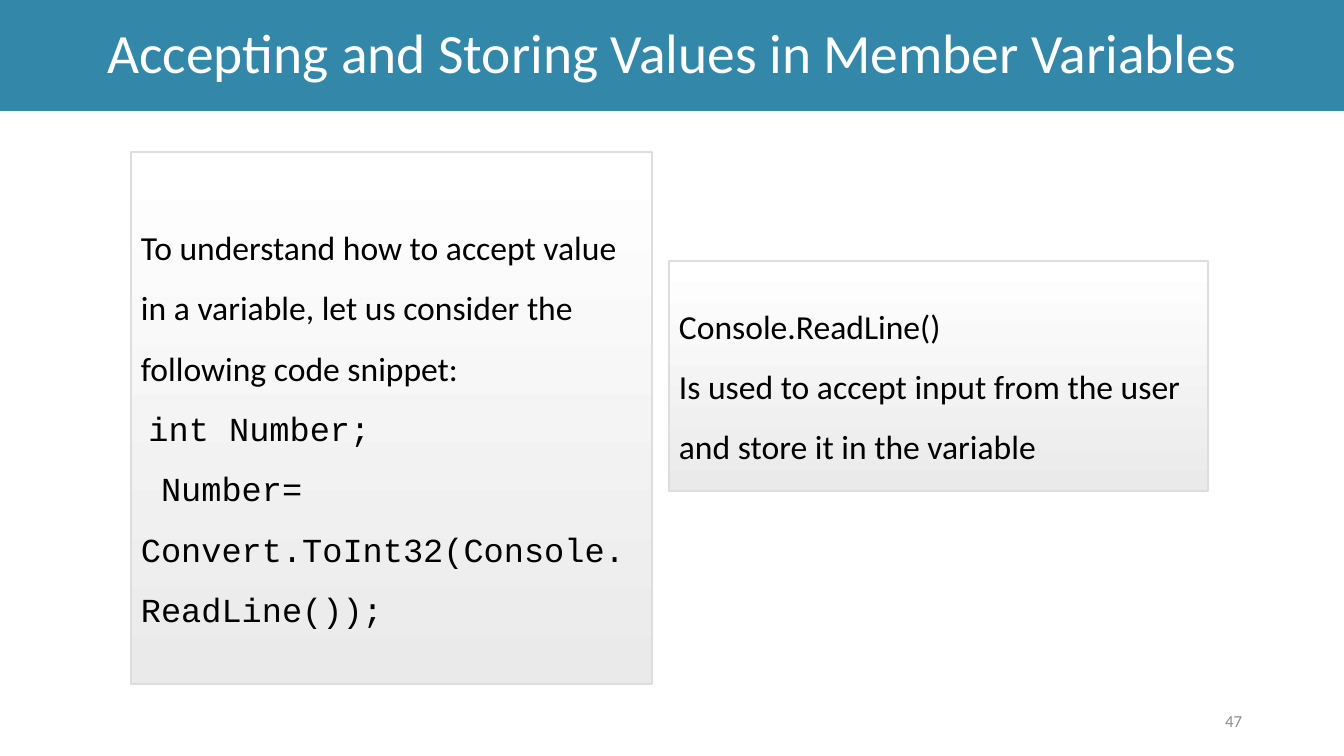
from dataclasses import dataclass

from pptx import Presentation
from pptx.dml.color import RGBColor
from pptx.enum.shapes import MSO_SHAPE
from pptx.enum.text import MSO_ANCHOR, PP_ALIGN
from pptx.util import Pt

RECTANGLE = MSO_SHAPE.RECTANGLE
MIDDLE = MSO_ANCHOR.MIDDLE
LEFT, CENTER, RIGHT = PP_ALIGN.LEFT, PP_ALIGN.CENTER, PP_ALIGN.RIGHT
EMU_PER_PX = 914400 / 100.8
SLIDE_WIDTH, SLIDE_HEIGHT = 1344, 756


@dataclass(frozen=True)
class Theme:
    """Colours, fonts and type sizes of the slide."""

    banner: RGBColor = RGBColor(0x33, 0x88, 0xA9)
    white: RGBColor = RGBColor(0xFF, 0xFF, 0xFF)
    black: RGBColor = RGBColor(0x00, 0x00, 0x00)
    panel_end: RGBColor = RGBColor(0xEA, 0xEA, 0xEA)
    panel_line: RGBColor = RGBColor(0xDD, 0xDD, 0xDD)
    number: RGBColor = RGBColor(0x8C, 0x8C, 0x8C)
    font: str = "Calibri"
    code_font: str = "Courier New"
    title_size: float = 39.6
    body_size: float = 24
    number_size: float = 12


THEME = Theme()


def px(length):
    """Turn a length in px into EMU."""
    return round(length * EMU_PER_PX)


def add_rectangle(slide, box):
    """Add a rectangle without shadow in the given box."""
    shape = slide.shapes.add_shape(RECTANGLE, *map(px, box))
    shape.shadow.inherit = False
    return shape


def write(shape, paragraphs, size, color, alignment=LEFT, spacing=1.0):
    """Fill a shape with paragraphs, each a list of (text, font) runs."""
    frame = shape.text_frame
    frame.word_wrap = True
    frame.vertical_anchor = MIDDLE
    for index, runs in enumerate(paragraphs):
        paragraph = frame.add_paragraph() if index else frame.paragraphs[0]
        paragraph.alignment = alignment
        paragraph.line_spacing = spacing
        for text, font in runs:
            run = paragraph.add_run()
            run.text = text
            run.font.name = font
            run.font.size = Pt(size)
            run.font.color.rgb = color


def add_banner(slide, box, title):
    """Add the coloured title band."""
    banner = add_rectangle(slide, box)
    banner.fill.solid()
    banner.fill.fore_color.rgb = THEME.banner
    banner.line.fill.background()
    write(banner, [[(title, THEME.font)]], THEME.title_size, THEME.white, CENTER, 0.9)


def add_panel(slide, box, paragraphs):
    """Add a panel shaded from top to bottom with widely spaced text."""
    panel = add_rectangle(slide, box)
    panel.fill.gradient()
    panel.fill.gradient_angle = 270
    colors = (THEME.white, THEME.panel_end)
    for position, (stop, color) in enumerate(zip(panel.fill.gradient_stops, colors)):
        stop.position = position
        stop.color.rgb = color
    panel.line.color.rgb = THEME.panel_line
    panel.line.width = Pt(1)
    write(panel, paragraphs, THEME.body_size, THEME.black, spacing=1.5)


def add_page_number(slide, box, number):
    """Add the page number at the right of its box."""
    label = slide.shapes.add_textbox(*map(px, box))
    write(label, [[(number, THEME.font)]], THEME.number_size, THEME.number, RIGHT)


def main():
    """Build and save the slide."""
    presentation = Presentation()
    presentation.slide_width = px(SLIDE_WIDTH)
    presentation.slide_height = px(SLIDE_HEIGHT)
    slide = presentation.slides.add_slide(presentation.slide_layouts[6])
    add_banner(slide, (0, 0, SLIDE_WIDTH, 111),
               "Accepting and Storing Values in Member Variables")
    add_page_number(slide, (950, 701, 302, 40), "47")
    add_panel(slide, (131, 152, 521, 532), [
        [("To understand how to accept value in a variable, "
          "let us consider the following code snippet:", THEME.font)],
        [(" ", THEME.font), ("int Number;", THEME.code_font)],
        [(" Number= Convert.ToInt32(Console.ReadLine());", THEME.code_font)],
    ])
    add_panel(slide, (669, 261, 539, 230), [
        [("Console.ReadLine()", THEME.font)],
        [("Is used to accept input from the user and store it in the variable",
          THEME.font)],
    ])
    presentation.save("out.pptx")


if __name__ == "__main__":
    main()
